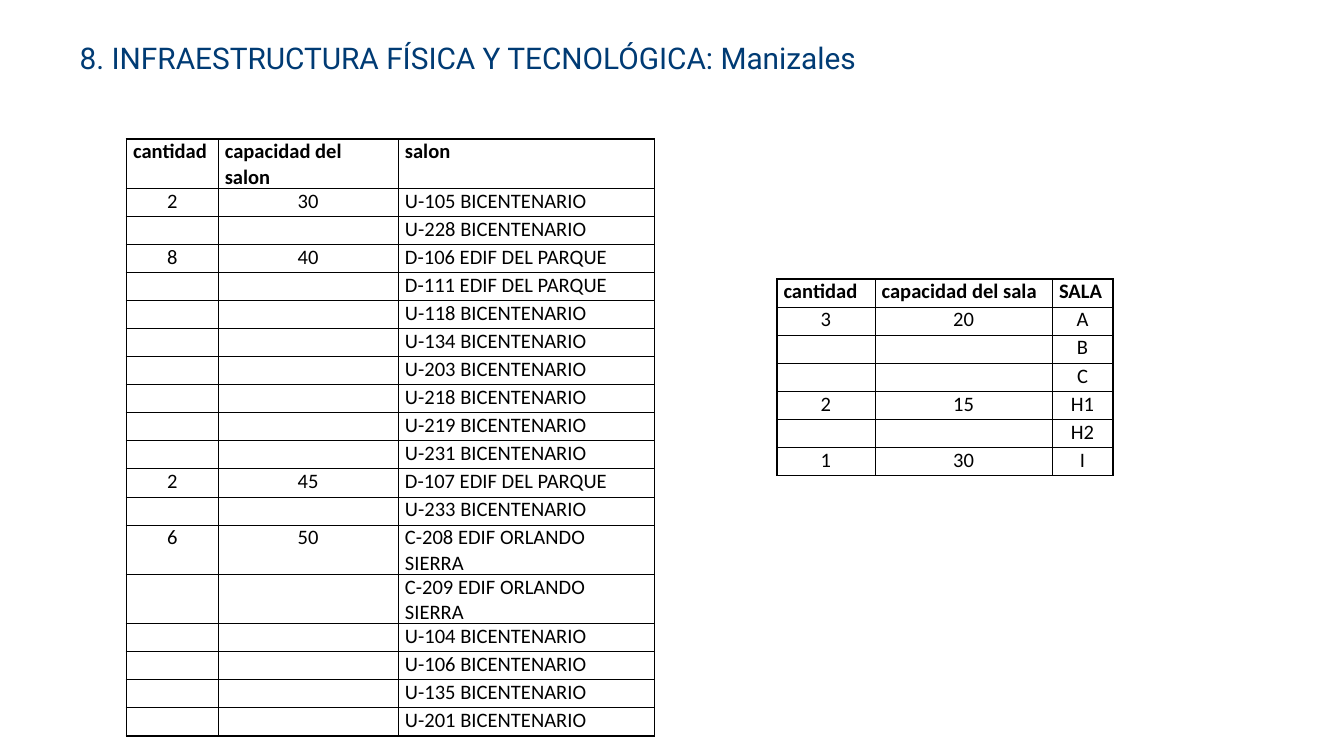
from lxml.etree import SubElement
from pptx import Presentation
from pptx.dml.color import RGBColor
from pptx.enum.text import MSO_ANCHOR, MSO_AUTO_SIZE, PP_ALIGN
from pptx.oxml.ns import qn
from pptx.util import Inches, Pt

# A 16:9 slide, laid out on a grid of square units, 100 across
WIDTH = 10
HEIGHT = WIDTH * 9 / 16
COLUMNS = 100
ROW_HEIGHT = 2.09


def color(hex_string):
    return RGBColor.from_string(hex_string)


def grid(units):
    return Inches(units * WIDTH / COLUMNS)


class SlideBuilder:
    title_font, title_size, title_color = "Roboto", 16, "003B74"
    table_font, table_size, ink = "Calibri", 11, "000000"
    outer_line, inner_line = 1, 0.5

    def __init__(self, page):
        self.page = page

    def add_span(self, para, text, font, size, hex_string, bold=False):
        span = para.add_run()
        span.text = text
        span.font.name = font
        span.font.size = Pt(size)
        span.font.bold = bold
        span.font.color.rgb = color(hex_string)

    def title(self, text, left, top, width, height):
        box = self.page.shapes.title
        box.left, box.top = grid(left), grid(top)
        box.width, box.height = grid(width), grid(height)
        frame = box.text_frame
        frame.word_wrap = True
        frame.auto_size = MSO_AUTO_SIZE.SHAPE_TO_FIT_TEXT
        frame.vertical_anchor = MSO_ANCHOR.TOP
        frame.margin_left = frame.margin_right = grid(1)
        frame.margin_top = frame.margin_bottom = grid(1)
        para = frame.paragraphs[0]
        para.alignment = PP_ALIGN.LEFT
        para.line_spacing = 0.8
        self.add_span(para, text, self.title_font, self.title_size, self.title_color)

    def borders(self, cell, outer_sides):
        properties = cell._tc.get_or_add_tcPr()
        for side in "LRTB":
            points = self.outer_line if side in outer_sides else self.inner_line
            line = SubElement(properties, qn(f"a:ln{side}"), w=str(Pt(points)))
            fill = SubElement(line, qn("a:solidFill"))
            SubElement(fill, qn("a:srgbClr"), val=self.ink)

    def cell(self, cell, text, header, centered, outer_sides, fill):
        cell.margin_left = cell.margin_right = grid(0.5)
        cell.margin_top = cell.margin_bottom = 0
        self.borders(cell, outer_sides)
        if fill:
            cell.fill.solid()
            cell.fill.fore_color.rgb = color(fill)
        else:
            cell.fill.background()
        para = cell.text_frame.paragraphs[0]
        para.alignment = PP_ALIGN.CENTER if centered else PP_ALIGN.LEFT
        if text:
            self.add_span(para, text, self.table_font, self.table_size, self.ink, header)
        else:
            # An empty cell needs the small size too, or its row grows
            SubElement(para._p, qn("a:endParaRPr"), sz=str(self.table_size * 100))

    def table(self, rows, left, top, widths, centered, fills):
        frame = self.page.shapes.add_table(
            len(rows), len(widths), grid(left), grid(top),
            grid(sum(widths)), grid(ROW_HEIGHT * len(rows)))
        table = frame.table
        table.first_row = table.horz_banding = False
        for column, width in zip(table.columns, widths):
            column.width = grid(width)
        last_row, last_column = len(rows) - 1, len(widths) - 1
        for r, row in enumerate(rows):
            table.rows[r].height = grid(ROW_HEIGHT)
            for c, text in enumerate(row):
                outer_sides = ("L" * (c == 0) + "R" * (c == last_column)
                               + "T" * (r == 0) + "B" * (r == last_row))
                self.cell(table.cell(r, c), text, r == 0,
                          r > 0 and centered[c], outer_sides, fills[c])


def room_rows(header, groups):
    """Quantity and capacity appear only beside the first room of a group."""
    rows = [header]
    for quantity, capacity, rooms in groups:
        for index, room in enumerate(rooms):
            rows.append(("", "", room) if index else (quantity, capacity, room))
    return rows


def in_building(building, *codes):
    return [f"{code} {building}" for code in codes]


BICENTENARIO, PARQUE, SIERRA = "BICENTENARIO", "EDIF DEL PARQUE", "EDIF ORLANDO SIERRA"

# Some headings end in a no-break space
CLASSROOMS = room_rows(("cantidad ", "capacidad del salon", "salon "), [
    ("2", "30", in_building(BICENTENARIO, "U-105", "U-228")),
    ("8", "40", in_building(PARQUE, "D-106", "D-111")
     + in_building(BICENTENARIO, "U-118", "U-134", "U-203", "U-218", "U-219", "U-231")),
    ("2", "45", in_building(PARQUE, "D-107") + in_building(BICENTENARIO, "U-233")),
    ("6", "50", in_building(SIERRA, "C-208", "C-209")
     + in_building(BICENTENARIO, "U-104", "U-106", "U-135", "U-201")),
])

COMPUTER_ROOMS = room_rows(("cantidad ", "capacidad del sala", "SALA"), [
    ("3", "20", ["A", "B", "C"]),
    ("2", "15", ["H1", "H2"]),
    ("1", "30", ["I"]),
])


def main():
    deck = Presentation()
    deck.slide_width, deck.slide_height = Inches(WIDTH), Inches(HEIGHT)
    title_only = deck.slide_layouts[5]
    builder = SlideBuilder(deck.slides.add_slide(title_only))

    # Heading
    builder.title("8. INFRAESTRUCTURA FÍSICA Y TECNOLÓGICA: Manizales", 4.93, 2.45, 72.9, 4.2)

    # Classrooms on the left, computer rooms on the right
    builder.table(CLASSROOMS, 9.4, 10.35, (6.83, 13.4, 19.07),
                  (True, True, False), (None, None, None))
    builder.table(COMPUTER_ROOMS, 57.8, 20.77, (7.3, 13.2, 4.5),
                  (True, True, True), (None, None, "FFFFFF"))

    deck.save("out.pptx")


if __name__ == "__main__":
    main()
